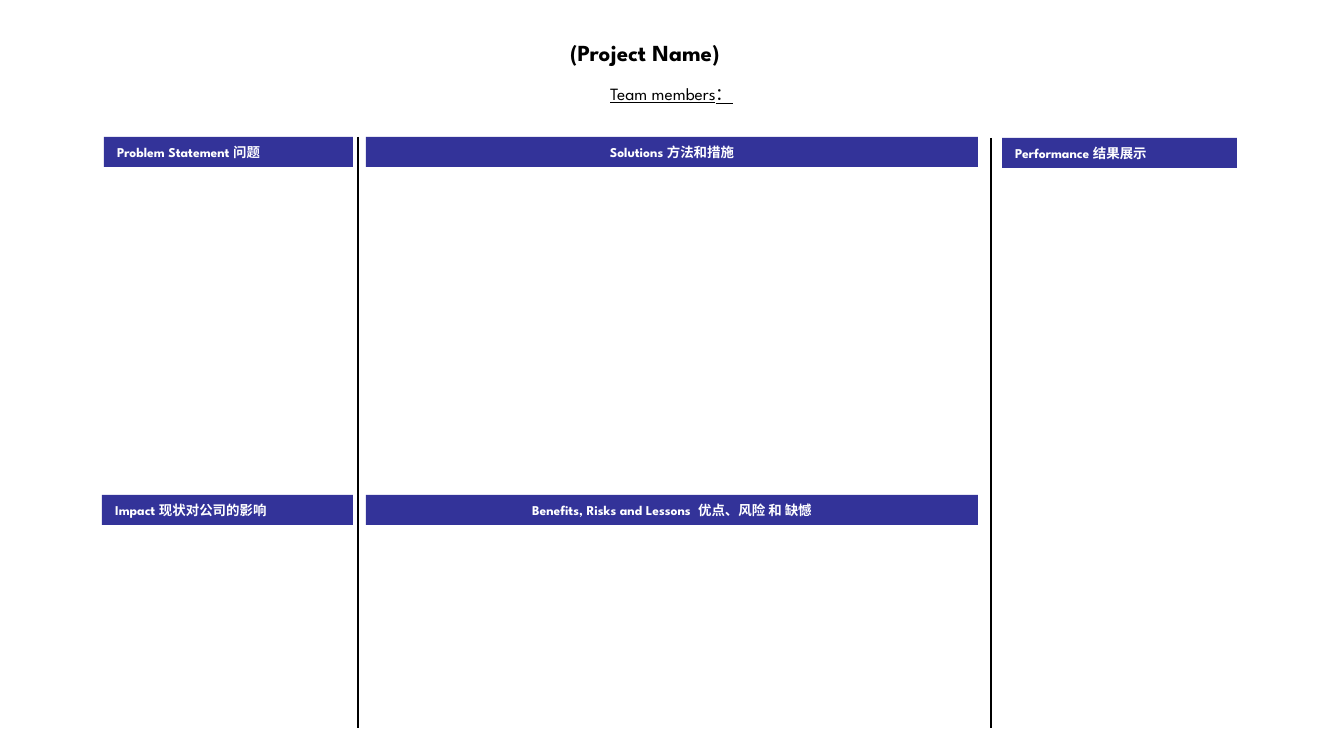
from pptx import Presentation
from pptx.dml.color import RGBColor
from pptx.enum.shapes import MSO_CONNECTOR, MSO_SHAPE
from pptx.enum.text import MSO_ANCHOR, MSO_AUTO_SIZE, PP_ALIGN
from pptx.oxml.ns import qn
from pptx.util import Emu, Pt
from lxml import etree

LEFT, CENTER = PP_ALIGN.LEFT, PP_ALIGN.CENTER
TOP, MIDDLE = MSO_ANCHOR.TOP, MSO_ANCHOR.MIDDLE
FONT = "League Spartan"
COLORS = {"bar": "333399", "ink": "000000", "white": "FFFFFF"}
PX = 914400 / 134.4

# Content: lengths in pixels
TITLE = ("(Project Name)", (434, 31, 422, 42))
TEAM = ("Team members：", (228, 77, 887, 48))
BAR_H = 30
BARS = [  # text, left, top, width, alignment
    ("Problem Statement 问题", 104, 137, 249, LEFT),
    ("Solutions 方法和措施", 366, 137, 612, CENTER),
    ("Performance 结果展示", 1002, 138, 235, LEFT),
    ("Impact 现状对公司的影响", 102, 495, 251, LEFT),
    ("Benefits, Risks and Lessons  优点、风险 和 缺憾", 366, 495, 612, CENTER),
]
DIVIDERS = [(358, 137), (991, 138)]  # x, top
DIVIDER_BOTTOM = 728


def px(n):
    return Emu(round(n * PX))


def color(name):
    return RGBColor.from_string(COLORS[name])


def place(shape, box):
    shape.left, shape.top, shape.width, shape.height = map(px, box)


def write(shape, text, size, ink, align, anchor, bold=False, underline=False):
    tf = shape.text_frame
    tf.word_wrap = True
    tf.auto_size = MSO_AUTO_SIZE.NONE
    tf.vertical_anchor = anchor
    p = tf.paragraphs[0]
    p.alignment = align
    p.line_spacing = 1.0
    p.space_before = Pt(0)
    r = p.add_run()
    r.text = text
    r.font.name, r.font.size = FONT, Pt(size)
    r.font.bold, r.font.underline = bold, underline
    r.font.color.rgb = color(ink)


prs = Presentation()
prs.slide_width, prs.slide_height = px(1344), px(756)
s = prs.slides.add_slide(prs.slide_layouts[0])

# Title and team line
title, team = s.shapes.title, s.placeholders[1]
place(title, TITLE[1])
write(title, TITLE[0], 12.3, "ink", CENTER, MIDDLE, bold=True)
place(team, TEAM[1])
write(team, TEAM[0], 9.2, "ink", CENTER, TOP, underline=True)

# Column dividers
for x, top in DIVIDERS:
    line = s.shapes.add_connector(MSO_CONNECTOR.STRAIGHT, px(x), px(top),
                                  px(x), px(DIVIDER_BOTTOM))
    line.line.color.rgb = color("ink")
    line.line.width = Pt(1)
    etree.SubElement(line._element.spPr, qn("a:effectLst"))

# Section header bars
for text, left, top, width, align in BARS:
    bar = s.shapes.add_shape(MSO_SHAPE.RECTANGLE, px(left), px(top),
                             px(width), px(BAR_H))
    bar.shadow.inherit = False
    bar.fill.solid()
    bar.fill.fore_color.rgb = color("bar")
    bar.line.fill.background()
    bar.text_frame.margin_top = bar.text_frame.margin_bottom = 0
    write(bar, text, 7.2, "white", align, MIDDLE, bold=True)

prs.save("out.pptx")
